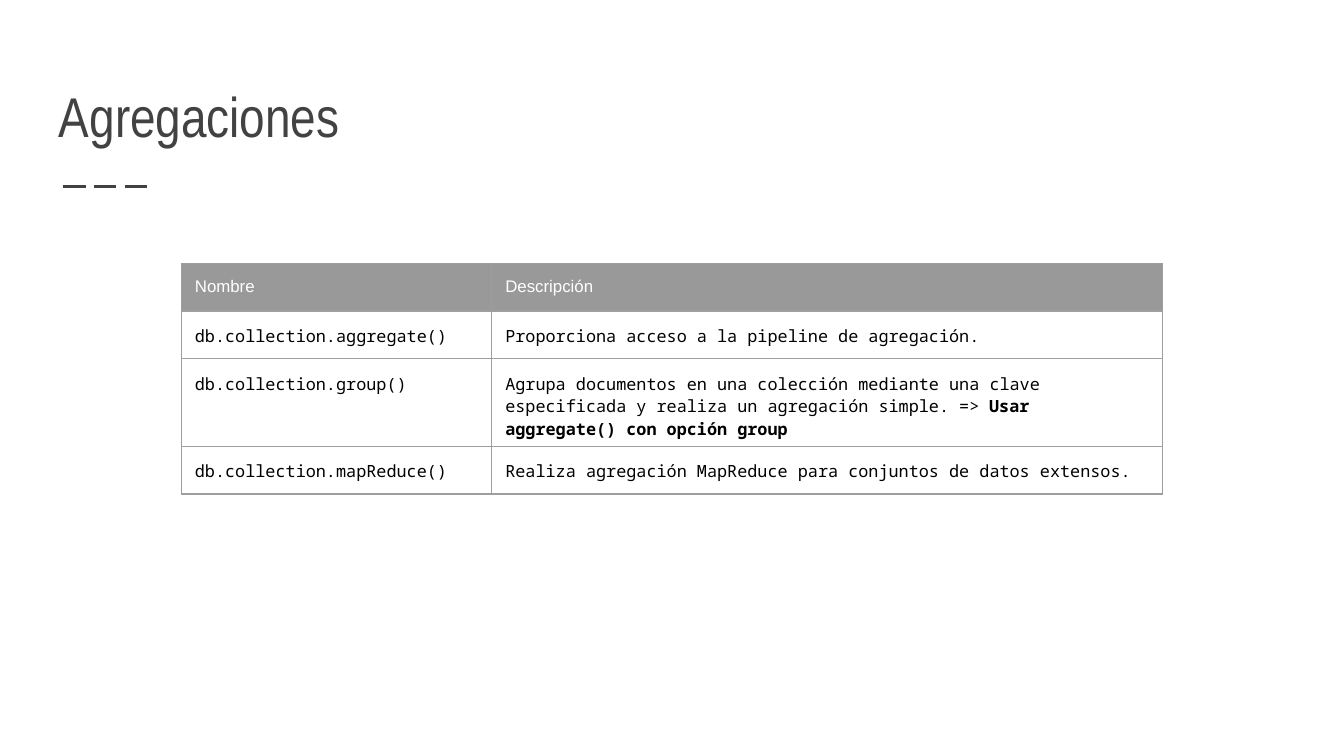
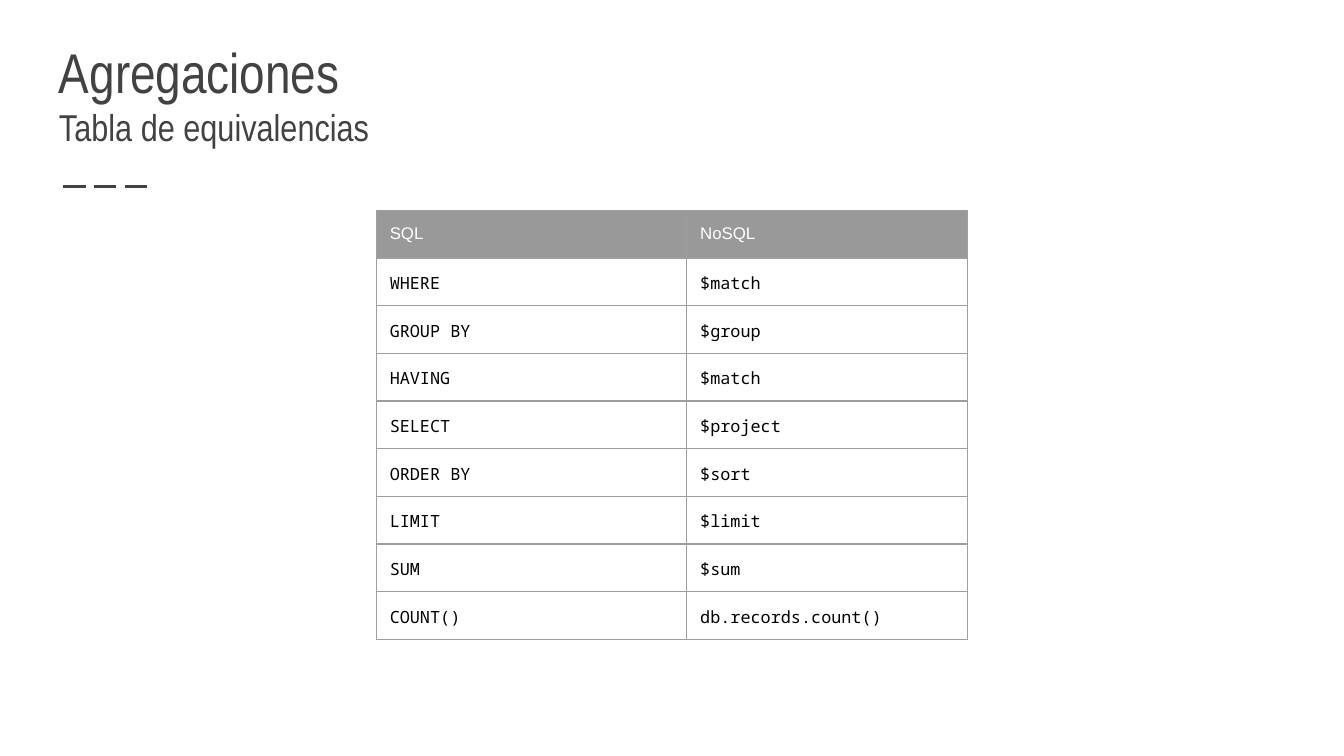
from dataclasses import dataclass

from lxml.etree import SubElement
from pptx import Presentation
from pptx.dml.color import RGBColor
from pptx.enum.dml import MSO_LINE
from pptx.enum.shapes import MSO_CONNECTOR
from pptx.enum.text import MSO_ANCHOR
from pptx.oxml.ns import qn
from pptx.util import Emu, Pt

EMU_PER_PX = 4572  # 200 px to the inch


def px(length):
    return Emu(length * EMU_PER_PX)


@dataclass(frozen=True)
class TextStyle:
    font: str
    size: int
    color: str
    bold: bool = False


@dataclass(frozen=True)
class Theme:
    background: str = "FFFFFF"
    ink: str = "424242"
    header_fill: str = "999999"
    border: str = "9E9E9E"
    border_width: float = 0.75
    rule_width: float = 1.5
    inset: int = 20
    row_height: int = 71
    title: TextStyle = TextStyle("Arial Narrow", 30, "424242")
    subtitle: TextStyle = TextStyle("Arial Narrow", 20, "424242")
    header: TextStyle = TextStyle("Arial", 9, "FFFFFF")
    code: TextStyle = TextStyle("Noto Sans Mono", 9, "000000")
    strong: TextStyle = TextStyle("Noto Sans Mono", 9, "000000", True)


class Deck:
    def __init__(self, theme):
        self.theme = theme
        self.presentation = Presentation()
        self.presentation.slide_width = px(2000)
        self.presentation.slide_height = px(1125)
        self.slide = None

    def add_slide(self, title, subtitle=None):
        self.slide = self.presentation.slides.add_slide(
            self.presentation.slide_layouts[6])
        fill = self.slide.background.fill
        fill.solid()
        fill.fore_color.rgb = RGBColor.from_string(self.theme.background)
        self.add_dashed_rule()
        self.add_title(title, subtitle)

    def add_dashed_rule(self):
        rule = self.slide.shapes.add_connector(
            MSO_CONNECTOR.STRAIGHT, px(94), px(278), px(228), px(278))
        rule.line.color.rgb = RGBColor.from_string(self.theme.ink)
        rule.line.width = Pt(self.theme.rule_width)
        rule.line.dash_style = MSO_LINE.LONG_DASH
        SubElement(rule._element.spPr, qn("a:effectLst"))

    def add_title(self, title, subtitle):
        box = self.slide.shapes.add_textbox(px(68), px(82), px(1864), px(160))
        frame = box.text_frame
        frame.word_wrap = True
        frame.vertical_anchor = MSO_ANCHOR.BOTTOM
        self.set_insets(frame)
        self.add_run(frame.paragraphs[0], title, self.theme.title)
        if subtitle:
            self.add_run(frame.add_paragraph(), subtitle, self.theme.subtitle)

    def add_table(self, left, top, column_widths, header, rows):
        """Each cell is a string or a list of (text, style) runs."""
        records = [header, *rows]
        table = self.slide.shapes.add_table(
            len(records), len(header), px(left), px(top),
            px(sum(column_widths)), px(self.theme.row_height * len(records))).table
        table.first_row = table.horz_banding = False
        for column, width in zip(table.columns, column_widths):
            column.width = px(width)
        for row_index, record in enumerate(records):
            table.rows[row_index].height = px(self.theme.row_height)
            for column_index, content in enumerate(record):
                self.fill_cell(table.cell(row_index, column_index), content,
                               is_header=row_index == 0)

    def fill_cell(self, cell, content, is_header):
        style = self.theme.header if is_header else self.theme.code
        runs = [(content, style)] if isinstance(content, str) else content
        for text, run_style in runs:
            self.add_run(cell.text_frame.paragraphs[0], text, run_style)
        self.set_insets(cell)
        self.add_borders(cell)
        if is_header:
            cell.fill.solid()
            cell.fill.fore_color.rgb = RGBColor.from_string(self.theme.header_fill)
        else:
            cell.fill.background()

    def add_borders(self, cell):
        properties = cell._tc.get_or_add_tcPr()
        for side in ("lnL", "lnR", "lnT", "lnB"):
            line = SubElement(properties, qn(f"a:{side}"),
                              w=str(Pt(self.theme.border_width)))
            fill = SubElement(line, qn("a:solidFill"))
            SubElement(fill, qn("a:srgbClr"), val=self.theme.border)

    def set_insets(self, holder):
        for side in ("left", "right", "top", "bottom"):
            setattr(holder, f"margin_{side}", px(self.theme.inset))

    def add_run(self, paragraph, text, style):
        run = paragraph.add_run()
        run.text = text
        run.font.name = style.font
        run.font.size = Pt(style.size)
        run.font.bold = style.bold
        run.font.color.rgb = RGBColor.from_string(style.color)


def main():
    theme = Theme()
    deck = Deck(theme)

    deck.add_slide("Agregaciones")
    deck.add_table(270, 392, (462, 998), ("Nombre", "Descripción"), [
        ("db.collection.aggregate()",
         "Proporciona acceso a la pipeline de agregación."),
        ("db.collection.group()",
         [("Agrupa documentos en una colección mediante una clave especificada "
           "y realiza un agregación simple. => ", theme.code),
          ("Usar aggregate() con opción group", theme.strong)]),
        ("db.collection.mapReduce()",
         "Realiza agregación MapReduce para conjuntos de datos extensos."),
    ])

    deck.add_slide("Agregaciones", "Tabla de equivalencias")
    deck.add_table(560, 313, (462, 418), ("SQL", "NoSQL"), [
        ("WHERE", "$match"),
        ("GROUP BY", "$group"),
        ("HAVING", "$match"),
        ("SELECT", "$project"),
        ("ORDER BY", "$sort"),
        ("LIMIT", "$limit"),
        ("SUM", "$sum"),
        ("COUNT()", "db.records.count()"),
    ])

    deck.presentation.save("out.pptx")


if __name__ == "__main__":
    main()
